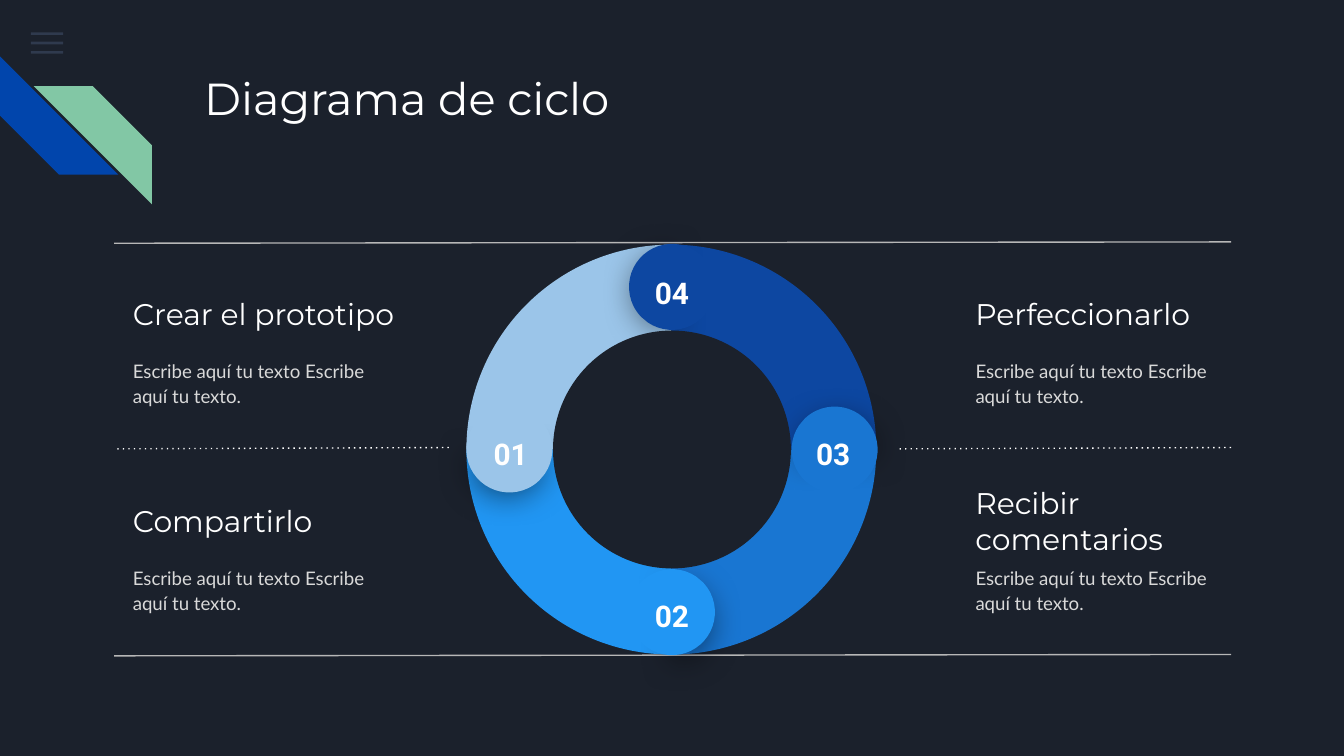
"""Build the cycle diagram slide on a grid of 100 columns."""
from math import cos, radians, sin

from lxml.etree import SubElement
from pptx import Presentation
from pptx.dml.color import RGBColor
from pptx.enum.shapes import MSO_CONNECTOR, MSO_SHAPE
from pptx.enum.text import MSO_ANCHOR, PP_ALIGN
from pptx.oxml.ns import qn
from pptx.util import Inches, Pt

THEME = {
    "bg": "1B212C", "white": "FFFFFF", "body": "D9D9D9", "rule": "B7B7B7",
    "menu": "55688B", "blue": "0145AC", "green": "82C7A5",
    "ring": ["9BC5E9", "2196F3", "1976D2", "0D47A1"],
    "title_type": ("Montserrat", 24), "head_type": ("Montserrat", 16),
    "body_type": ("Lato", 10), "number_type": ("Roboto", 16),
}

prs = Presentation()
prs.slide_width, prs.slide_height = Inches(10), Inches(5.625)
U = prs.slide_width / 100
s = prs.slides.add_slide(prs.slide_layouts[6])
s.background.fill.solid()
s.background.fill.fore_color.rgb = RGBColor.from_string(THEME["bg"])


def shape(kind, x, y, w, h, color, rot=0, adj=()):
    """Add a filled shape without outline, placed in grid units."""
    sp = s.shapes.add_shape(kind, *(round(v * U) for v in (x, y, w, h)))
    sp.shadow.inherit = False
    sp.fill.solid()
    sp.fill.fore_color.rgb = RGBColor.from_string(color)
    sp.line.fill.background()
    sp.rotation = rot % 360
    for i, v in enumerate(adj):
        sp.adjustments[i] = v
    return sp


def text(words, x, y, w, h, style, color, anchor=MSO_ANCHOR.TOP):
    """Add a one-paragraph text box in grid units and return its paragraph."""
    tf = s.shapes.add_textbox(*(round(v * U) for v in (x, y, w, h))).text_frame
    tf.word_wrap = True
    tf.vertical_anchor = anchor
    tf.margin_left = tf.margin_right = tf.margin_top = tf.margin_bottom = round(U)
    p = tf.paragraphs[0]
    p.text = words
    f = p.runs[0].font
    f.name, f.size = style[0], Pt(style[1])
    f.color.rgb = RGBColor.from_string(color)
    return p


for row in range(3):
    bar = shape(MSO_SHAPE.RECTANGLE, 2.3, 2.4 + 0.7 * row, 2.4, 0.2, THEME["menu"])
    clr = bar._element.spPr.find(qn("a:solidFill"))[0]
    SubElement(clr, qn("a:alpha"), val="36000")

shape(MSO_SHAPE.DIAGONAL_STRIPE, 0, 4.2, 8.8, 8.8, THEME["blue"], 270, [0.5])
stripe = shape(MSO_SHAPE.DIAGONAL_STRIPE, 2.5, 6.4, 8.8, 8.8, THEME["green"], 0, [0.5])
stripe._element.spPr.get_or_add_xfrm().set("flipH", "1")

text("Diagrama de ciclo", 14.2, 4.3, 77, 10, THEME["title_type"], THEME["white"])

steps = [
    ("Crear el prototipo", 8.9, 20.9, 24.9),
    ("Compartirlo", 8.9, 36.3, 24.9),
    ("Perfeccionarlo", 71.6, 20.9, 24.4),
    ("Recibir comentarios", 71.6, 36.3, 16.6),
]
for head, x, y, w in steps:
    text(head, x, y, w, 4.9, THEME["head_type"], THEME["white"], MSO_ANCHOR.MIDDLE)
    p = text("Escribe aquí tu texto Escribe aquí tu texto.", x, y + 4.6, 21.8, 7.6,
             THEME["body_type"], THEME["body"])
    p.line_spacing, p.space_after = 1.15, Pt(16)

rules = [
    (91.6, 8.5, 18, "rule"), (33.4, 8.5, 33.3, "white"),
    (91.6, 66.7, 33.3, "white"), (91.6, 8.5, 48.7, "rule"),
]
for x1, x2, y, color in rules:
    ln = s.shapes.add_connector(
        MSO_CONNECTOR.STRAIGHT, *(round(v * U) for v in (x1, y, x2, y + 0.1)))
    ln.line.width = Pt(0.75)
    ln.line.color.rgb = RGBColor.from_string(THEME[color])
    if color == "white":
        SubElement(ln.line._get_or_add_ln(), qn("a:prstDash"), val="dot")
    SubElement(ln._element.spPr, qn("a:effectLst"))

CX, CY, RING, HUB, CAP, HALF = 50, 33.45, 30.5, 17.7, 6.4, 5.7
for i, color in enumerate(THEME["ring"]):
    shape(MSO_SHAPE.PIE, CX - 0.05 - RING / 2, CY - RING / 2, RING, RING, color,
          -90 * i, [108, 162])

for i, color in enumerate(THEME["ring"]):
    dx, dy = cos(radians(180 - 90 * i)), sin(radians(180 - 90 * i))
    half = shape(MSO_SHAPE.PIE, CX + 12.3 * dx - HALF / 2, CY + 12.3 * dy - HALF / 2,
                 HALF, HALF, color, 39.5 - 90 * i, [189.54, 83.81])
    shadow = SubElement(half._element.spPr.find(qn("a:effectLst")), qn("a:outerShdw"),
                        blurRad=str(Pt(18)), dist=str(Pt(4)), dir="5400000",
                        algn="bl", rotWithShape="0")
    black = SubElement(shadow, qn("a:srgbClr"), val="000000")
    SubElement(black, qn("a:alpha"), val="55000")
    shape(MSO_SHAPE.CHORD, CX + 12.1 * dx - CAP / 2, CY + 12.1 * dy - CAP / 2,
          CAP, CAP, color, 4.1 - 90 * i, [25, 18.12])
    p = text(f"{i + 1:02}", CX + 12 * dx - 2.8, CY + 12 * dy - 2, 5.6, 2.9,
             THEME["number_type"], THEME["white"])
    p.alignment = PP_ALIGN.CENTER
    p.runs[0].font.bold = True

shape(MSO_SHAPE.OVAL, CX - HUB / 2, CY - HUB / 2, HUB, HUB, THEME["bg"])

prs.save("out.pptx")
